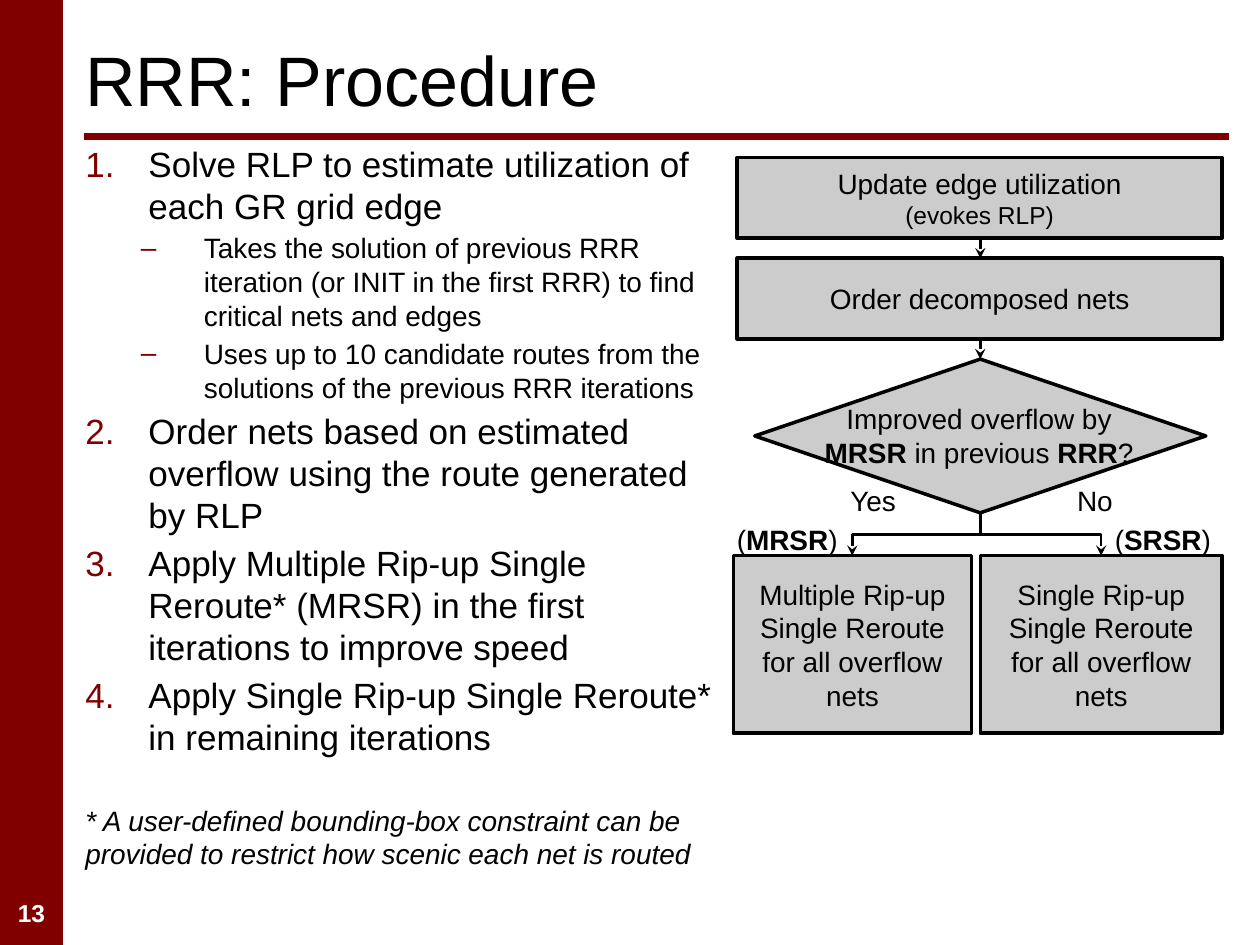
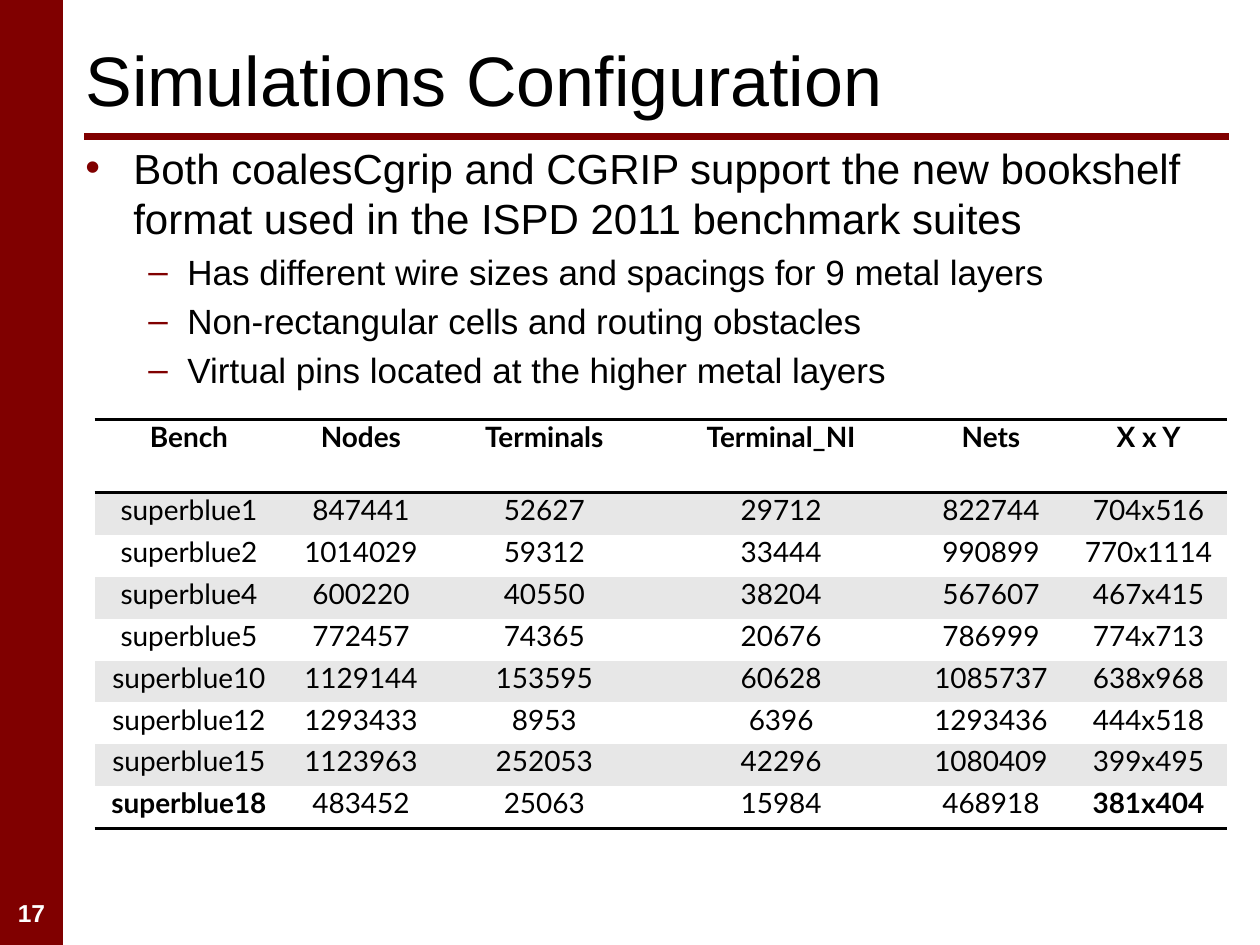
import pptx
import pptx.util
import pptx.oxml.ns
from lxml import etree
from pptx.dml.color import RGBColor
from pptx.enum.shapes import MSO_CONNECTOR, MSO_SHAPE
from pptx.enum.text import MSO_ANCHOR, PP_ALIGN

COLS, ROWS = 10, 7.5  # grid cells of one inch
MAROON = RGBColor(0x80, 0x00, 0x00)
BLACK = RGBColor(0x00, 0x00, 0x00)
WHITE = RGBColor(0xFF, 0xFF, 0xFF)
GREY = RGBColor(0xCC, 0xCC, 0xCC)
PALE = RGBColor(0xE7, 0xE7, 0xE7)

TITLE = {"size": 40}
PAGE = {"size": 14, "bold": True, "color": WHITE}
FLOW = {"size": 16}
SMALL = {"size": 14}
NOTE = {"size": 16, "italic": True}
CELL = {"size": 16, "name": "Lato"}

BAND = 0.5
LEFT, RIGHT, RULE_Y = 0.58, 9.75, 1.08
BODY_H = 5.83
NO_STYLE = "{2D5ABB26-0587-4C30-8999-92F81FD0307C}"

PROCEDURE = [
    (0, "Solve RLP to estimate utilization of each GR grid edge"),
    (1, "Takes the solution of previous RRR iteration (or INIT in the first RRR) "
        "to find critical nets and edges"),
    (1, "Uses up to 10 candidate routes from the solutions of the previous RRR iterations"),
    (0, "Order nets based on estimated overflow using the route generated by RLP"),
    (0, "Apply Multiple Rip-up Single Reroute* (MRSR) in the first iterations to improve speed"),
    (0, "Apply Single Rip-up Single Reroute* in remaining iterations"),
]
FOOTNOTE = ("* A user-defined bounding-box constraint can be provided "
            "to restrict how scenic each net is routed")
CONFIGURATION = [
    (0, "Both coalesCgrip and CGRIP support the new bookshelf format "
        "used in the ISPD 2011 benchmark suites"),
    (1, "Has different wire sizes and spacings for 9 metal layers"),
    (1, "Non-rectangular cells and routing obstacles"),
    (1, "Virtual pins located at the higher metal layers"),
]
BENCHMARKS = [
    ("Bench", "Nodes", "Terminals", "Terminal_NI", "Nets", "X x Y"),
    ("superblue1", "847441", "52627", "29712", "822744", "704x516"),
    ("superblue2", "1014029", "59312", "33444", "990899", "770x1114"),
    ("superblue4", "600220", "40550", "38204", "567607", "467x415"),
    ("superblue5", "772457", "74365", "20676", "786999", "774x713"),
    ("superblue10", "1129144", "153595", "60628", "1085737", "638x968"),
    ("superblue12", "1293433", "8953", "6396", "1293436", "444x518"),
    ("superblue15", "1123963", "252053", "42296", "1080409", "399x495"),
    ("**superblue18**", "483452", "25063", "15984", "468918", "**381x404**"),
]
BENCH_COLS = (1.5, 1.23, 1.68, 2.08, 1.25, 1.25)


def grid(*cells):
    return [pptx.util.Inches(c) for c in cells]


def add_xml(parent, tag, **attrs):
    return etree.SubElement(parent, pptx.oxml.ns.qn(tag), attrs)


def write(p, text, fmt, align=PP_ALIGN.LEFT):
    """Fill a paragraph; parts between ** are bold."""
    p.alignment = align
    values = {"name": "Arial", "color": BLACK, **fmt}
    for i, part in enumerate(text.split("**")):
        if not part:
            continue
        r = p.add_run()
        r.text = part
        for key, value in values.items():
            if key == "color":
                r.font.color.rgb = value
            else:
                setattr(r.font, key, pptx.util.Pt(value) if key == "size" else value)
        if i % 2:
            r.font.bold = True


def add_text(slide, box, lines, align=PP_ALIGN.LEFT, anchor=MSO_ANCHOR.TOP):
    tf = slide.shapes.add_textbox(*grid(*box)).text_frame
    fill_frame(tf, lines, align, anchor)
    return tf


def fill_frame(tf, lines, align, anchor):
    tf.word_wrap = True
    tf.vertical_anchor = anchor
    for i, (text, fmt) in enumerate(lines):
        write(tf.add_paragraph() if i else tf.paragraphs[0], text, fmt, align)


def add_shape(slide, kind, box, fill, line=None, lines=()):
    sp = slide.shapes.add_shape(kind, *grid(*box))
    sp.shadow.inherit = False
    sp.fill.solid()
    sp.fill.fore_color.rgb = fill
    if line is None:
        sp.line.fill.background()
    else:
        sp.line.color.rgb = line
        sp.line.width = pptx.util.Pt(2)
    fill_frame(sp.text_frame, lines, PP_ALIGN.CENTER, MSO_ANCHOR.MIDDLE)


def add_line(slide, start, end, color=BLACK, width=1.5, arrow=False, bent=False):
    """A bent line runs across first, then down."""
    kind = MSO_CONNECTOR.ELBOW if bent else MSO_CONNECTOR.STRAIGHT
    c = slide.shapes.add_connector(kind, *grid(*start, *end))
    c.line.color.rgb = color
    c.line.width = pptx.util.Pt(width)
    sp_pr = c._element.spPr
    if bent:
        sp_pr.find(pptx.oxml.ns.qn("a:prstGeom")).set("prst", "bentConnector2")
    if arrow:
        add_xml(c.line._get_or_add_ln(), "a:tailEnd", type="stealth")
    add_xml(sp_pr, "a:effectLst")


def add_bullets(slide, width, items, sizes, marks, indents, spacing):
    """sizes, marks and indents hold one entry per level; spacing is a share of the size."""
    tf = add_text(slide, (LEFT, RULE_Y, width, BODY_H), [])
    for i, (level, text) in enumerate(items):
        p = tf.add_paragraph() if i else tf.paragraphs[0]
        write(p, text, {"size": sizes[level]})
        p.level = level
        p.space_before = pptx.util.Pt(sizes[level] * spacing)
        p_pr = p._p.get_or_add_pPr()
        margin, hang = grid(*indents[level])
        p_pr.set("marL", str(margin))
        p_pr.set("indent", str(-hang))
        add_xml(add_xml(p_pr, "a:buClr"), "a:srgbClr", val=str(MAROON))
        add_xml(p_pr, "a:buFont", typeface="Arial")
        if marks[level] == "1.":
            add_xml(p_pr, "a:buAutoNum", type="arabicPeriod")
        else:
            add_xml(p_pr, "a:buChar", char=marks[level])
    return tf


def add_border(cell, side):
    ln = etree.Element(pptx.oxml.ns.qn(side), w=str(pptx.util.Pt(2)))
    add_xml(add_xml(ln, "a:solidFill"), "a:srgbClr", val=str(BLACK))
    cell._tc.get_or_add_tcPr().insert(0, ln)


def add_table(slide, left, top, rows, widths, heights):
    shape = slide.shapes.add_table(
        len(rows), len(widths), *grid(left, top, sum(widths), sum(heights)))
    table = shape.table
    table.first_row = table.horz_banding = False
    table._tbl.tblPr.find(pptx.oxml.ns.qn("a:tableStyleId")).text = NO_STYLE
    for col, width in zip(table.columns, grid(*widths)):
        col.width = width
    last = len(rows) - 1
    for i, (row, height) in enumerate(zip(rows, grid(*heights))):
        table.rows[i].height = height
        for j, text in enumerate(row):
            cell = table.cell(i, j)
            cell.margin_top = 0
            cell.fill.solid()
            cell.fill.fore_color.rgb = PALE if i % 2 else WHITE
            write(cell.text_frame.paragraphs[0], text,
                  {**CELL, "bold": i == 0}, PP_ALIGN.CENTER)
            if i in (0, last):
                add_border(cell, "a:lnB")
            if i == 0:
                add_border(cell, "a:lnT")


def add_slide(prs, title, number):
    slide = prs.slides.add_slide(prs.slide_layouts[6])
    add_shape(slide, MSO_SHAPE.RECTANGLE, (0, 0, BAND, ROWS), MAROON)
    add_line(slide, (0.67, RULE_Y), (RIGHT, RULE_Y), MAROON, 4)
    add_text(slide, (0, 7.08, BAND, 0.33), [(number, PAGE)], PP_ALIGN.CENTER)
    add_text(slide, (LEFT, 0.08, RIGHT - LEFT, RULE_Y), [(title, TITLE)],
             anchor=MSO_ANCHOR.MIDDLE)
    return slide


def add_flowchart(slide):
    left, width, mid = 5.85, 3.85, 7.78
    step_h, gap, top = 0.64, 0.16, 1.25
    steps = [
        [("Update edge utilization", FLOW), ("(evokes RLP)", SMALL)],
        [("Order decomposed nets", FLOW)],
    ]
    for lines in steps:
        add_shape(slide, MSO_SHAPE.RECTANGLE, (left, top, width, step_h), GREY, BLACK, lines)
        top += step_h + gap
        add_line(slide, (mid, top - gap), (mid, top), arrow=True)

    test_w, test_h = 3.58, 1.22
    add_shape(slide, MSO_SHAPE.DIAMOND, (mid - test_w / 2, top, test_w, test_h), GREY, BLACK)
    add_text(slide, (mid - 1.41, 3.14, 2.8, 0.83),
             [("Improved overflow by", FLOW), ("**MRSR** in previous **RRR**?", FLOW)],
             PP_ALIGN.CENTER)

    fork, branch_top, branch_h = 4.24, 4.41, 1.41
    add_line(slide, (mid, top + test_h), (mid, fork))
    branches = [
        (5.82, 1.89, "Multiple", "Yes", 6.65, "(**MRSR**)", 5.75),
        (7.78, 1.92, "Single", "No", 8.45, "(**SRSR**)", 8.75),
    ]
    for x, w, kind, answer, answer_x, mode, mode_x in branches:
        add_shape(slide, MSO_SHAPE.RECTANGLE, (x, branch_top, w, branch_h), GREY, BLACK,
                  [(f"{kind} Rip-up Single Reroute for all overflow nets", FLOW)])
        add_line(slide, (mid, fork), (x + w / 2, branch_top), arrow=True, bent=True)
        add_text(slide, (answer_x, 3.79, 1.06, 0.48), [(answer, FLOW)])
        add_text(slide, (mode_x, 4.1, 1.07, 0.48), [(mode, FLOW)])


def add_procedure_slide(prs):
    slide = add_slide(prs, "RRR: Procedure", "13")
    tf = add_bullets(slide, 5.23, PROCEDURE, (20, 16), ("1.", "–"),
                     ((0.5, 0.5), (0.94, 0.5)), 0.17)
    p = tf.add_paragraph()
    write(p, FOOTNOTE, NOTE)
    p.space_before = pptx.util.Pt(26)
    add_flowchart(slide)


def add_configuration_slide(prs):
    slide = add_slide(prs, "Simulations Configuration", "17")
    add_bullets(slide, RIGHT - LEFT, CONFIGURATION, (24, 20), ("•", "–"),
                ((0.38, 0.38), (0.81, 0.31)), 0.2)
    heights = [0.58] + [1 / 3] * (len(BENCHMARKS) - 1)
    add_table(slide, 0.75, 3.33, BENCHMARKS, BENCH_COLS, heights)


def main():
    prs = pptx.Presentation()
    prs.slide_width, prs.slide_height = grid(COLS, ROWS)
    add_procedure_slide(prs)
    add_configuration_slide(prs)
    prs.save("out.pptx")


if __name__ == "__main__":
    main()
